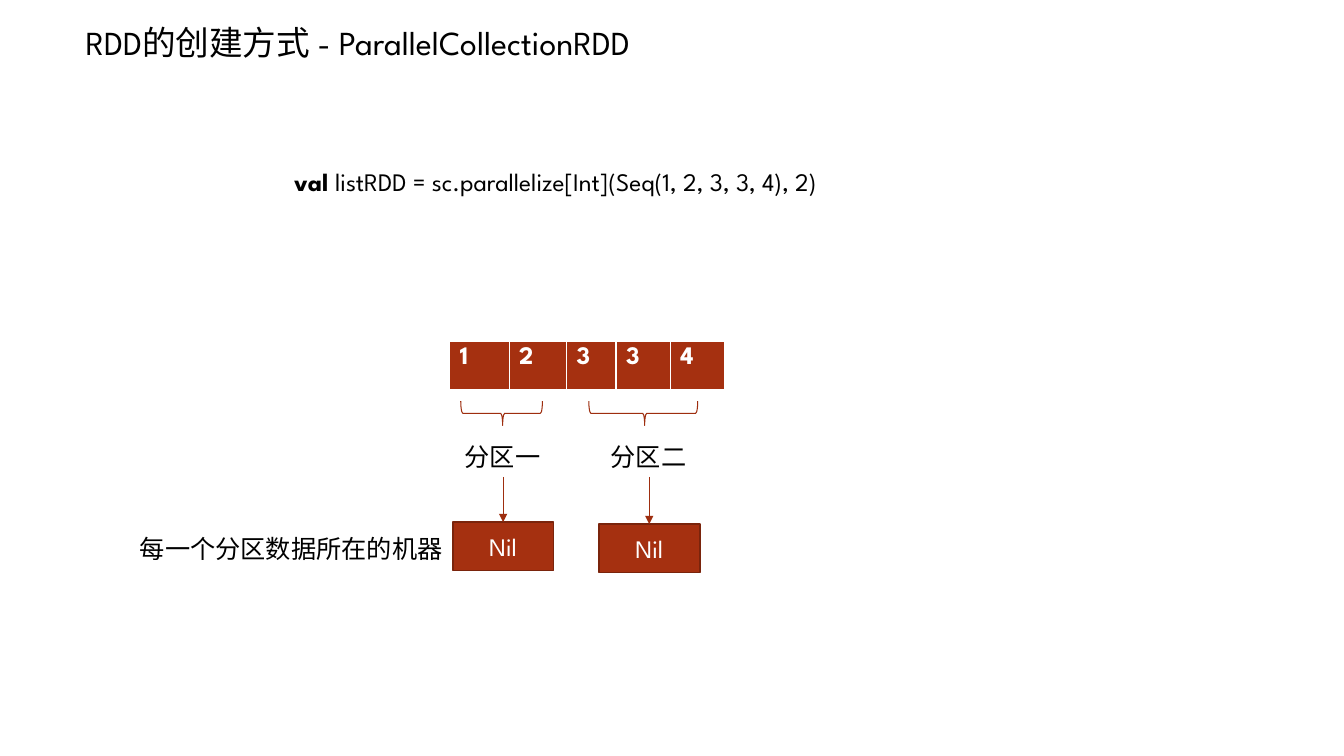
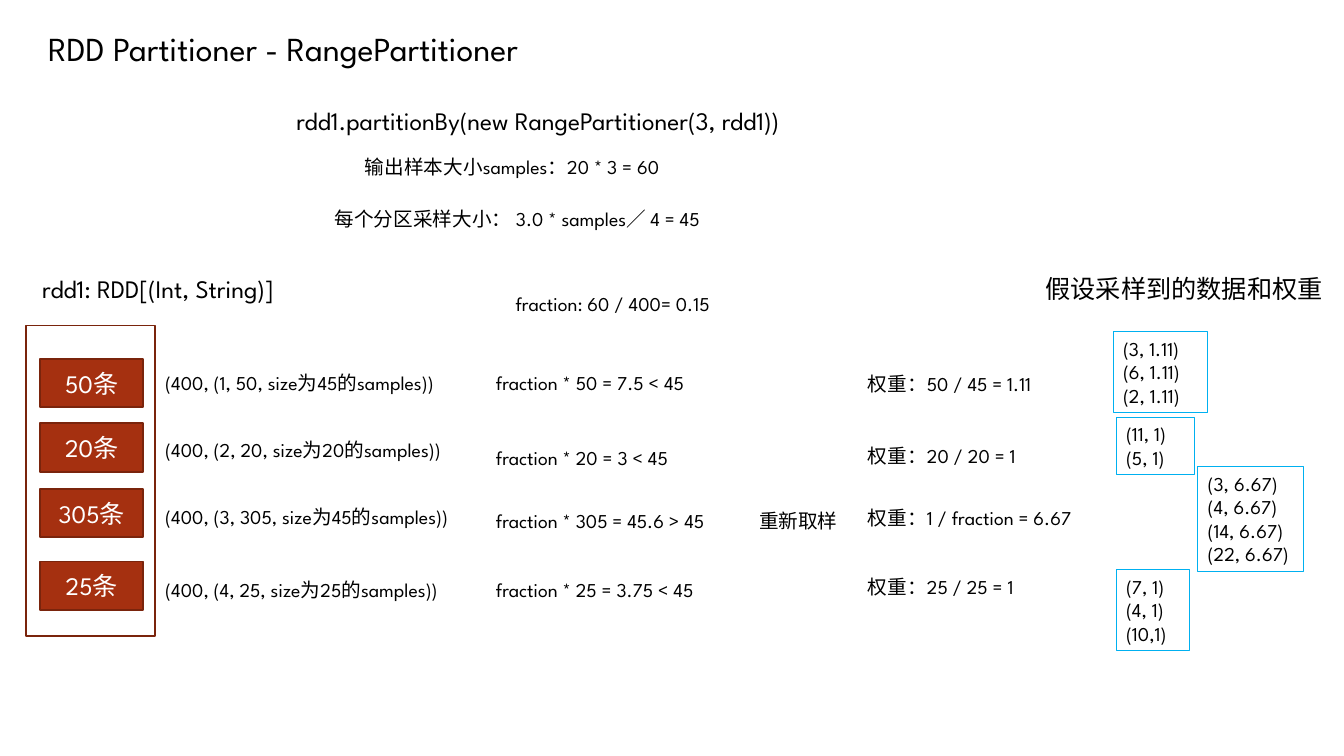
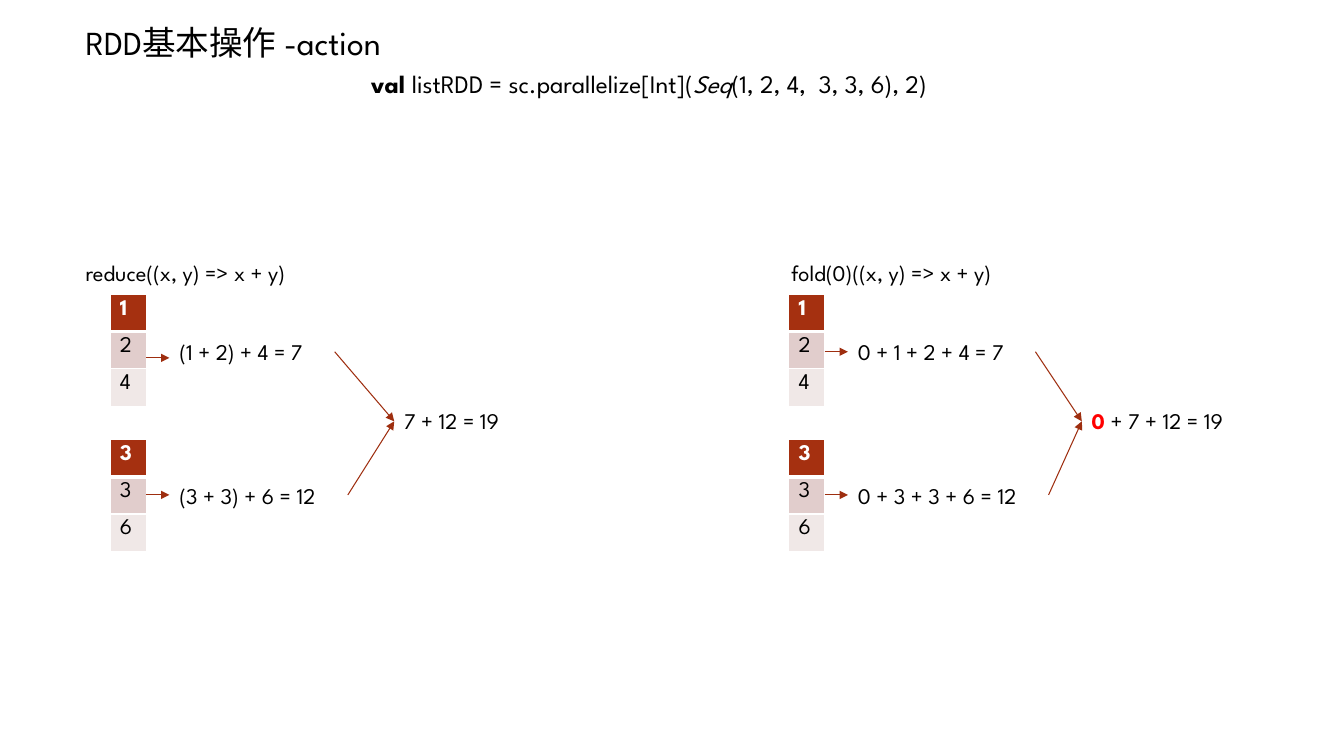
from lxml import etree
from pptx import Presentation
from pptx.dml.color import RGBColor
from pptx.enum.shapes import MSO_CONNECTOR, MSO_SHAPE
from pptx.enum.text import MSO_ANCHOR, MSO_AUTO_SIZE, PP_ALIGN
from pptx.oxml.ns import qn
from pptx.util import Inches, Pt

RECTANGLE, BRACE = MSO_SHAPE.RECTANGLE, MSO_SHAPE.LEFT_BRACE
STRAIGHT = MSO_CONNECTOR.STRAIGHT
LEFT, CENTER, RIGHT = PP_ALIGN.LEFT, PP_ALIGN.CENTER, PP_ALIGN.RIGHT
TOP, MIDDLE = MSO_ANCHOR.TOP, MSO_ANCHOR.MIDDLE
GROW = MSO_AUTO_SIZE.SHAPE_TO_FIT_TEXT

FONT = "League Spartan"
COLORS = {
    "text": "000000", "light": "FFFFFF", "brick": "A53010", "edge": "7A240C",
    "arrow": "9E2E0F", "band": "E1CDCC", "pale": "F0E8E7",
    "sample": "00B0F0", "alert": "FF0000",
}
SIZES = {"title": 24, "body": 18, "step": 16, "detail": 14}
HEIGHTS = {"title": 0.5, "body": 0.4, "step": 0.37, "detail": 0.34}


def color(name):
    return RGBColor.from_string(COLORS[name])


# Shared parts
def write(frame, paragraphs, size, ink="text", align=LEFT, **format_values):
    """Each paragraph is a string or a list of (text, format) runs."""
    for index, content in enumerate(paragraphs):
        paragraph = frame.paragraphs[0] if index == 0 else frame.add_paragraph()
        paragraph.alignment = align
        runs = [(content, {})] if isinstance(content, str) else content
        for text, changes in runs:
            run = paragraph.add_run()
            run.text = text
            values = {"name": FONT, "size": Pt(SIZES[size]), "ink": ink,
                      **format_values, **changes}
            run.font.color.rgb = color(values.pop("ink"))
            for attribute, value in values.items():
                setattr(run.font, attribute, value)


def add_text(slide, left, top, width, content, size="detail", align=LEFT):
    box = slide.shapes.add_textbox(
        Inches(left), Inches(top), Inches(width), Inches(HEIGHTS[size]))
    settings = {"word_wrap": False, "auto_size": GROW, "vertical_anchor": TOP}
    for attribute, value in settings.items():
        setattr(box.text_frame, attribute, value)
    write(box.text_frame, [content], size, align=align)


def add_title(slide, left, top, width, text):
    add_text(slide, left, top, width, text, "title")


def add_outline(slide, kind, box, line="edge", weight=1.25, fill=None):
    shape = slide.shapes.add_shape(kind, *map(Inches, box))
    shape.shadow.inherit = False
    if fill:
        shape.fill.solid()
        shape.fill.fore_color.rgb = color(fill)
    else:
        shape.fill.background()
    shape.line.color.rgb = color(line)
    shape.line.width = Pt(weight)
    return shape


def add_block(slide, left, top, width, text):
    block = add_outline(slide, RECTANGLE, (left, top, width, 0.48), fill="brick")
    block.text_frame.vertical_anchor = MIDDLE
    write(block.text_frame, [text], "body", "light", CENTER)


def add_arrow(slide, start, end):
    arrow = slide.shapes.add_connector(STRAIGHT, *map(Inches, start + end))
    arrow.line.color.rgb = color("arrow")
    arrow.line.width = Pt(0.75)
    line = arrow.line._get_or_add_ln()
    etree.SubElement(line, qn("a:tailEnd"), type="triangle")
    etree.SubElement(arrow._element.spPr, qn("a:effectLst"))


def add_grid(slide, left, top, widths, row_height, rows, size):
    """The first row is the dark header; later rows are light bands."""
    graphic = slide.shapes.add_table(
        len(rows), len(widths), Inches(left), Inches(top),
        Inches(sum(widths)), Inches(row_height * len(rows)))
    table = graphic.table
    table.first_row = table.horz_banding = False
    for column, width in zip(table.columns, widths):
        column.width = Inches(width)
    for row_index, values in enumerate(rows):
        table.rows[row_index].height = Inches(row_height)
        header = row_index == 0
        fill = ("brick", "band", "pale")[row_index]
        for column_index, value in enumerate(values):
            cell = table.cell(row_index, column_index)
            add_borders(cell, 3 if header else 1, 3 if row_index == 1 else 1)
            cell.fill.solid()
            cell.fill.fore_color.rgb = color(fill)
            write(cell.text_frame, [value], size,
                  "light" if header else "text", bold=header)


def add_borders(cell, bottom, top):
    properties = cell._tc.get_or_add_tcPr()
    for side, weight in (("L", 1), ("R", 1), ("T", top), ("B", bottom)):
        line = etree.SubElement(properties, qn(f"a:ln{side}"), w=str(Pt(weight)))
        fill = etree.SubElement(line, qn("a:solidFill"))
        etree.SubElement(fill, qn("a:srgbClr"), val=COLORS["light"])


# Slide 1: collection split into partitions
def add_partition(slide, left, top, name, brace_left, brace_width, drop):
    """Brace, partition name, arrow and machine; left and top are the name's."""
    brace_height, brace_middle = 0.24, top - 0.23
    center = brace_left + brace_width / 2
    brace = add_outline(
        slide, BRACE,
        (center - brace_height / 2, brace_middle - brace_width / 2,
         brace_height, brace_width), "arrow", 0.75)
    brace.rotation = 270
    brace.adjustments[0], brace.adjustments[1] = 0.083, 0.513
    add_text(slide, left, top, 0.96, name, "body")
    add_block(slide, left - 0.02, top + 0.4 + drop, 1, "Nil")
    middle = left + 0.48
    add_arrow(slide, (middle, top + 0.4), (middle, top + 0.4 + drop))


def build_collection(slide):
    add_title(slide, 0.75, 0.17, 6.45, "RDD的创建方式 - ParallelCollectionRDD")
    add_text(slide, 2.82, 1.6, 6.16, [
        ("val ", {"bold": True}),
        ("listRDD = sc.parallelize[Int](Seq(1, 2, 3, 3, 4), 2)", {}),
    ], "body")
    add_grid(slide, 4.46, 3.39, [0.59, 0.57, 0.49, 0.54, 0.54], 0.49,
             ["12334"], "body")
    add_partition(slide, 4.51, 4.33, "分区一", 4.57, 0.81, 0.45)
    add_partition(slide, 5.96, 4.33, "分区二", 5.84, 1.08, 0.47)
    add_text(slide, 1.29, 5.24, 3.23, "每一个分区数据所在的机器", "body")


# Slide 2: sampling for range partitions
def add_column(slide, left, width, entries):
    for top, text in entries:
        add_text(slide, left, top, width, text)


def add_source(slide, left, top):
    add_outline(slide, RECTANGLE, (left, top, 1.28, 3.08))
    for offset, count in ((0.33, 50), (0.97, 20), (1.62, 305), (2.34, 25)):
        add_block(slide, left + 0.14, top + offset, 1.02, f"{count}条")


def add_samples(slide, left, top, width, pairs):
    height = 0.1 + 0.235 * len(pairs)
    box = add_outline(slide, RECTANGLE, (left, top, width, height), "sample", 0.75)
    box.text_frame.word_wrap = False
    box.text_frame.auto_size = GROW
    box.text_frame.vertical_anchor = TOP
    write(box.text_frame, pairs, "detail")


def build_range(slide):
    add_title(slide, 0.38, 0.23, 5.66, "RDD Partitioner - RangePartitioner")
    # Headings
    for left, top, width, text in (
        (2.84, 1, 5.98, "rdd1.partitionBy(new RangePartitioner(3, rdd1))"),
        (0.32, 2.66, 2.9, "rdd1: RDD[(Int, String)]"),
        (10.27, 2.66, 2.98, "假设采样到的数据和权重"),
    ):
        add_text(slide, left, top, width, text, "body")
    # Sample sizes
    add_text(slide, 3.52, 1.49, 3.31, "输出样本大小samples：20 * 3 = 60")
    add_text(slide, 3.22, 2, 4.21, "每个分区采样大小： 3.0 * samples／ 4 = 45")
    add_text(slide, 4.8, 2.85, 2.34, "fraction: 60 / 400= 0.15", align=RIGHT)
    # Partitions, their sketches, fractions and weights
    add_source(slide, 0.26, 3.23)
    sketches = ((3.63, "1, 50", 45), (4.3, "2, 20", 20),
                (4.96, "3, 305", 45), (5.68, "4, 25", 25))
    add_column(slide, 1.54, 3.28, [
        (top, f"(400, ({key}, size为{size}的samples))")
        for top, key, size in sketches])
    fractions = ((3.63, "50 = 7.5 <"), (4.37, "20 = 3 <"),
                 (5, "305 = 45.6 >"), (5.68, "25 = 3.75 <"))
    add_column(slide, 4.82, 2.51, [
        (top, f"fraction * {result} 45") for top, result in fractions])
    add_text(slide, 7.43, 5, 0.99, "重新取样")
    weights = ((3.64, "50 / 45 = 1.11"), (4.35, "20 / 20 = 1"),
               (4.97, "1 / fraction = 6.67"), (5.65, "25 / 25 = 1"))
    add_column(slide, 8.51, 2.44, [
        (top, f"权重：{weight}") for top, weight in weights])
    # Sampled keys with weights
    for left, top, width, pairs in (
        (11.04, 3.29, 0.94, ["(3, 1.11)", "(6, 1.11)", "(2, 1.11)"]),
        (11.07, 4.14, 0.78, ["(11, 1)", "(5, 1)"]),
        (11.88, 4.63, 1.05, ["(3, 6.67)", "(4, 6.67)", "(14, 6.67)", "(22, 6.67)"]),
        (11.07, 5.65, 0.73, ["(7, 1)", "(4, 1)", "(10,1)"]),
    ):
        add_samples(slide, left, top, width, pairs)


# Slide 3: actions on two partitions
def add_action(slide, left, top, heading, indent, partials, total, total_left):
    """Left is the tables' edge; partials are (text, width, arrow shift)."""
    add_text(slide, left - indent, top - 0.4, 2.56, heading, "step")
    target = (total_left, top + 1.26)
    parts = zip(("124", "336"), (0, 1.44), (0.39, 1.81), partials)
    for values, table_drop, text_drop, (text, width, shift) in parts:
        add_grid(slide, left, top + table_drop, [0.36], 0.37, list(values), "step")
        text_left, middle = left + 0.59, top + text_drop + 0.18
        add_text(slide, text_left, top + text_drop, width, text, "step")
        add_arrow(slide, (left + 0.36, middle + shift), (text_left, middle + shift))
        add_arrow(slide, (text_left + width, middle), target)
    add_text(slide, total_left, top + 1.07, 1.73, total, "step")


def build_actions(slide):
    add_title(slide, 0.75, 0.17, 3.51, "RDD基本操作 -action")
    add_text(slide, 3.58, 0.63, 6.51, [
        ("val ", {"bold": True}), ("listRDD = sc.parallelize[Int](", {}),
        ("Seq", {"italic": True}), ("(1, 2, 4,  3, 3, 6), 2)", {}),
    ], "body")
    add_action(slide, 1.09, 2.92, "reduce((x, y) => x + y)", 0.34,
               [("(1 + 2) + 4 = 7", 1.64, 0.06), ("(3 + 3) + 6 = 12", 1.77, 0)],
               "7 + 12 = 19", 3.91)
    add_action(slide, 7.82, 2.92, "fold(0)((x, y) => x + y)", 0.07,
               [("0 + 1 + 2 + 4 = 7", 1.86, 0), ("0 + 3 + 3 + 6 = 12", 1.99, 0)],
               [("0", {"bold": True, "ink": "alert"}), (" + 7 + 12 = 19", {})],
               10.73)


def main():
    presentation = Presentation()
    presentation.slide_width = Inches(13.33)
    presentation.slide_height = Inches(7.5)
    for build in (build_collection, build_range, build_actions):
        build(presentation.slides.add_slide(presentation.slide_layouts[6]))
    presentation.save("out.pptx")


if __name__ == "__main__":
    main()
